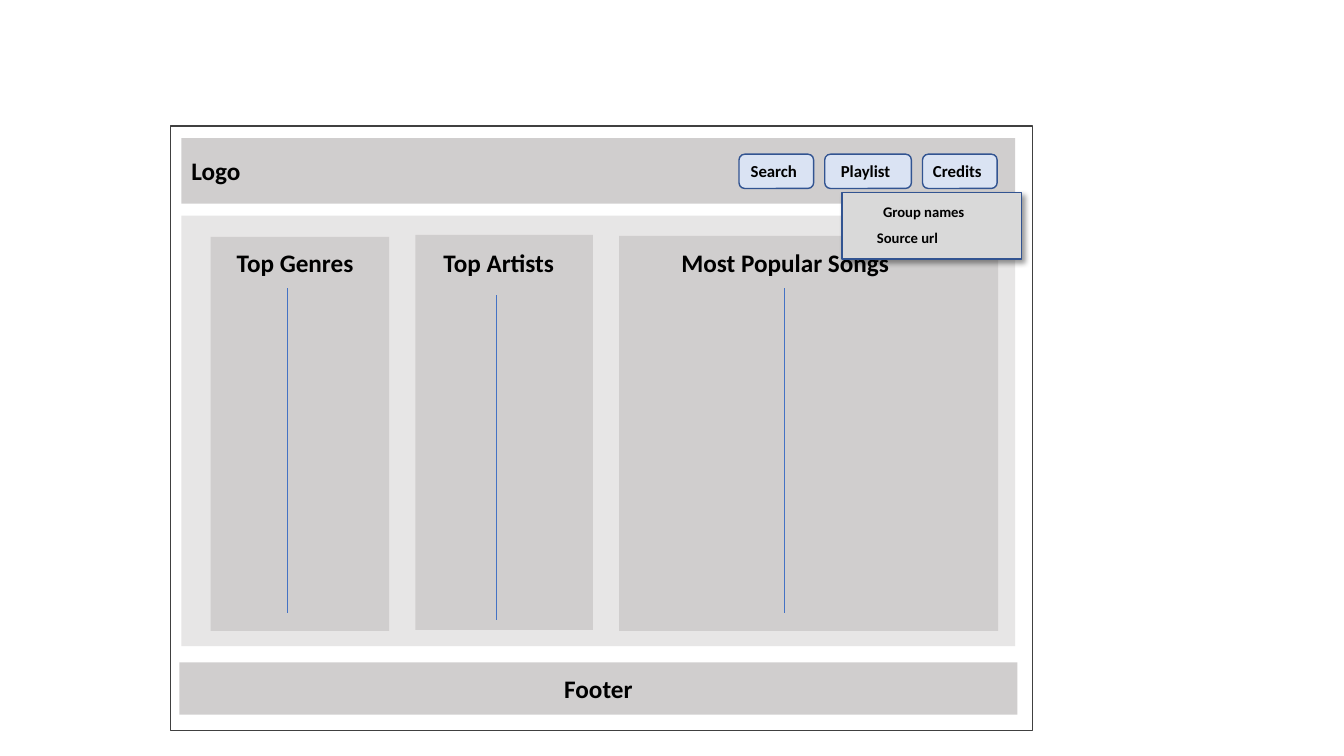
from lxml import etree
from pptx import Presentation
from pptx.dml.color import RGBColor
from pptx.enum.shapes import MSO_CONNECTOR as Line, MSO_SHAPE as Shape
from pptx.enum.text import MSO_ANCHOR as Anchor, MSO_AUTO_SIZE as Auto, PP_ALIGN as Align
from pptx.oxml import parse_xml
from pptx.oxml.ns import qn
from pptx.util import Inches, Pt

COLORS = {
    "frame": "404040", "bar": "D0CECE", "content": "E7E6E6", "divider": "4472C4",
    "button": "DAE3F3", "edge": "325491", "menu": "D9D9D9", "text": "000000",
}
FRAME = (1.69, 1.25, 8.55, 6)
HEADER = ("Logo", (1.8, 1.37, 8.27, 0.65), Align.LEFT)
FOOTER = ("Footer", (1.78, 6.57, 8.31, 0.52), Align.CENTER)
CONTENT = (1.8, 2.14, 8.27, 4.27)
COLUMNS = [
    ("Top Genres", (2.09, 2.35, 1.77, 3.91), (2.25, 1.37), False, (2.85, 2.86)),
    ("Top Artists", (4.12, 2.33, 1.76, 3.92), (4.3, 1.31), False, (4.92, 2.93)),
    ("Most Popular Songs", (6.14, 2.34, 3.76, 3.92), (6.66, 2.99), True, (7.78, 2.86)),
]
HEADING_TOP, HEADING_HEIGHT, DIVIDER_LENGTH = 2.4, 0.4, 3.22
BUTTONS = [("Search", 7.33, 0.74), ("Playlist", 8.18, 0.86), ("Credits", 9.15, 0.74)]
BUTTON_TOP, BUTTON_HEIGHT = 1.53, 0.34
MENU = (8.35, 1.91, 1.78, 0.66)
MENU_ITEMS = [("Group names", (8.66, 1.96, 1.18, 0.28)), ("Source url", (8.6, 2.22, 1.06, 0.28))]
SHADOW = (
    '<a:effectLst xmlns:a="http://schemas.openxmlformats.org/drawingml/2006/main">'
    '<a:outerShdw blurRad="50800" dist="38100" dir="2700000" algn="tl" rotWithShape="0">'
    '<a:srgbClr val="000000"><a:alpha val="40000"/></a:srgbClr></a:outerShdw></a:effectLst>'
)


def rgb(name):
    return RGBColor.from_string(COLORS[name])


def write(sp, text, size=18, align=Align.LEFT, anchor=Anchor.TOP, wrap=True, auto=Auto.NONE):
    tf = sp.text_frame
    tf.word_wrap, tf.auto_size, tf.vertical_anchor = wrap, auto, anchor
    p = tf.paragraphs[0]
    p.alignment = align
    r = p.add_run()
    r.text = text
    r.font.name, r.font.size, r.font.bold = "Calibri", Pt(size), True
    r.font.color.rgb = rgb("text")


def add_box(shapes, box, fill=None, line=None, kind=Shape.RECTANGLE):
    sp = shapes.add_shape(kind, *map(Inches, box))
    sp.shadow.inherit = False
    if fill:
        sp.fill.solid()
        sp.fill.fore_color.rgb = rgb(fill)
    else:
        sp.fill.background()
    if line:
        sp.line.color.rgb = rgb(line)
        sp.line.width = Pt(1)
    else:
        sp.line.fill.background()
    return sp


def add_label(shapes, text, box, **fmt):
    write(shapes.add_textbox(*map(Inches, box)), text, auto=Auto.SHAPE_TO_FIT_TEXT, **fmt)


def add_divider(shapes, x, y):
    ends = (x, y, x, y + DIVIDER_LENGTH)
    line = shapes.add_connector(Line.STRAIGHT, *map(Inches, ends))
    line.line.color.rgb = rgb("divider")
    line.line.width = Pt(0.5)
    etree.SubElement(line._element.spPr, qn("a:effectLst"))


def main():
    prs = Presentation()
    prs.slide_width, prs.slide_height = Inches(13.33), Inches(7.5)
    s = prs.slides.add_slide(prs.slide_layouts[6])
    shapes = s.shapes

    add_box(shapes, FRAME, line="frame")
    for text, box, align in (HEADER, FOOTER):
        write(add_box(shapes, box, "bar"), text, align=align, anchor=Anchor.MIDDLE)

    add_box(shapes, CONTENT, "content")
    for heading, panel, (left, width), wrap, divider in COLUMNS:
        add_box(shapes, panel, "bar")
        add_label(shapes, heading, (left, HEADING_TOP, width, HEADING_HEIGHT), wrap=wrap)
        add_divider(shapes, *divider)

    for text, left, width in BUTTONS:
        group = shapes.add_group_shape().shapes
        add_box(group, (left, BUTTON_TOP, width, BUTTON_HEIGHT), "button", "edge",
                Shape.ROUNDED_RECTANGLE)
        add_label(group, text, (left, BUTTON_TOP + 0.02, width - 0.05, 0.3),
                  size=12, align=Align.CENTER)

    menu = add_box(shapes, MENU, "menu", "edge")
    props = menu._element.spPr
    props.replace(props.find(qn("a:effectLst")), parse_xml(SHADOW))
    for text, box in MENU_ITEMS:
        add_label(shapes, text, box, size=10.5)

    prs.save("out.pptx")


if __name__ == "__main__":
    main()
